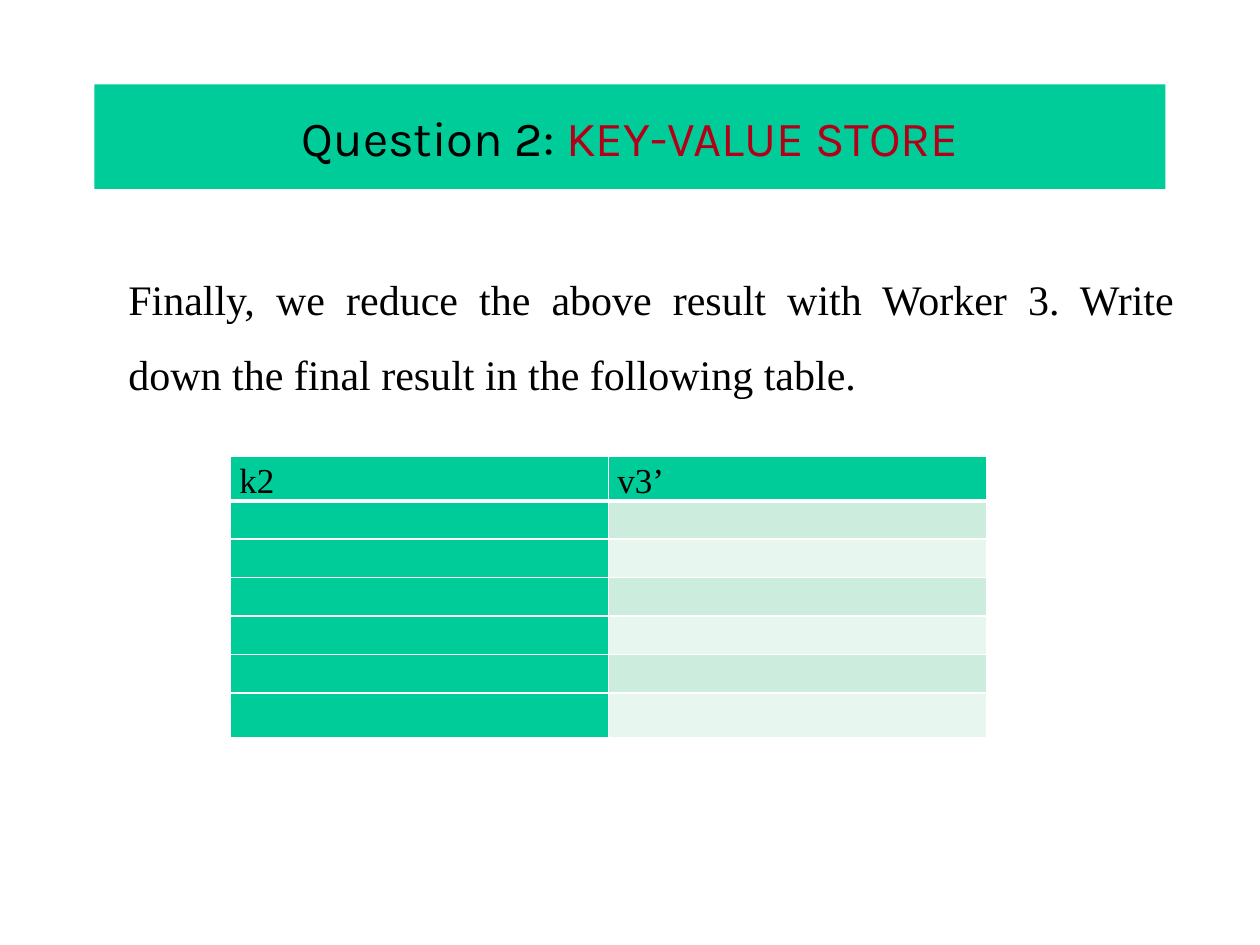
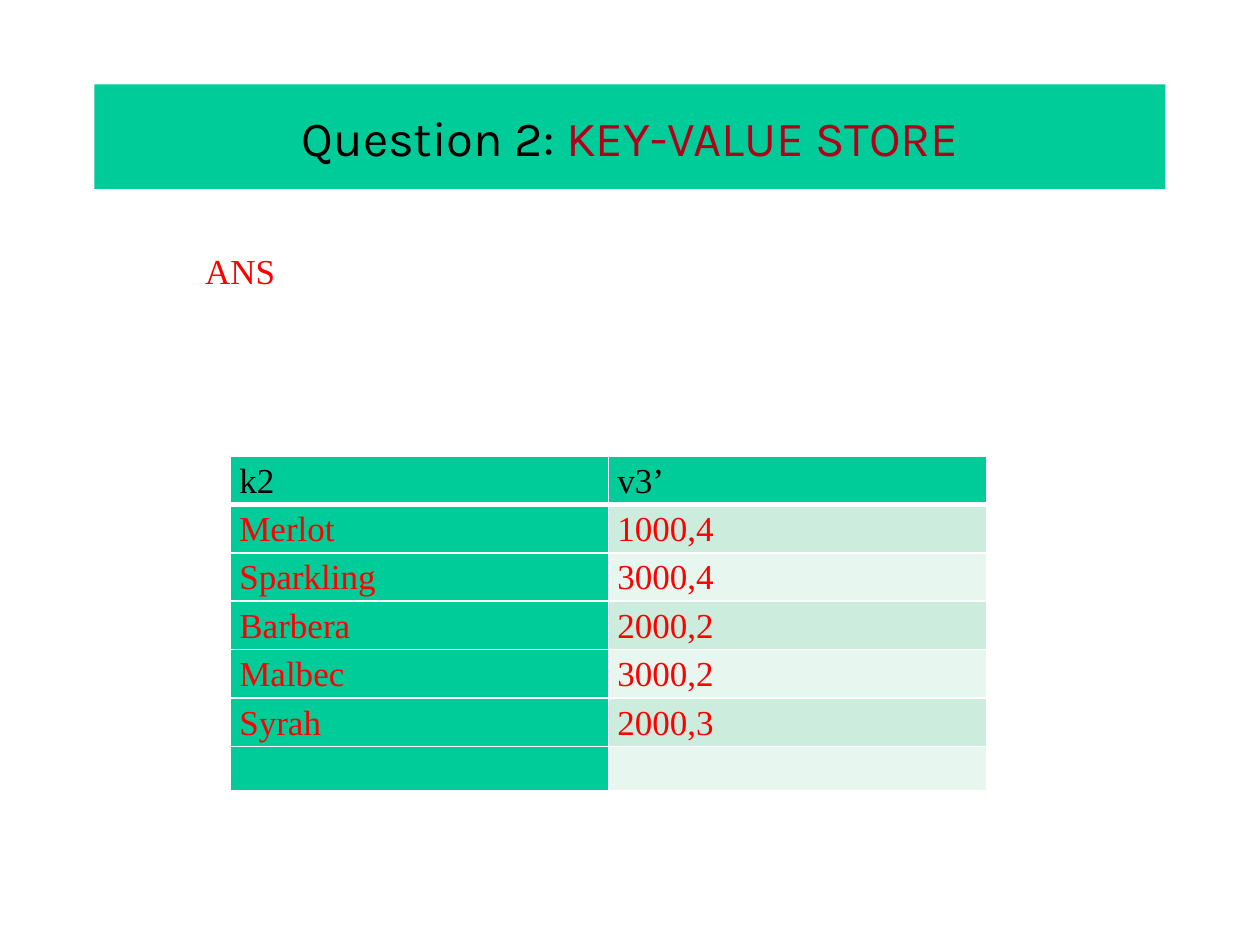
from lxml.etree import SubElement
from pptx import Presentation
from pptx.dml.color import RGBColor
from pptx.enum.shapes import MSO_SHAPE
from pptx.enum.text import MSO_ANCHOR, PP_ALIGN
from pptx.oxml import parse_xml
from pptx.oxml.ns import nsdecls, qn
from pptx.util import Inches, Pt

HUES = {"green": "00CC99", "wine": "B30019", "red": "FF0000", "black": "000000",
        "white": "FFFFFF", "mint": "CCECDE", "pale": "E7F6EF"}
SERIF = "Times New Roman"
TITLE = [("Question 2: ", "black"), ("KEY-VALUE STORE", "wine")]
HEAD = ("k2", "v3’")
EMPTY = ("", "")
WINES = [("Merlot", "1000,4"), ("Sparkling", "3000,4"), ("Barbera", "2000,2"),
         ("Malbec", "3000,2"), ("Syrah", "2000,3")]
TASK = ("Finally, we reduce the above result with Worker 3. "
        "Write down the final result in the following table.")
SLIDES = [
    {"text": TASK, "at": (0.92, 1.92, 8.5, 1.25), "size": 24, "hue": "black",
     "align": PP_ALIGN.JUSTIFY, "lead": 1.5, "wrap": True,
     "rows": [EMPTY] * 6, "high": 0.305},
    {"text": "ANS", "at": (1.53, 1.93, 0.76, 0.44), "size": 20, "hue": "red",
     "align": PP_ALIGN.LEFT, "lead": 1.0, "wrap": False,
     "rows": WINES + [EMPTY], "high": 0.355},
]
TALL = 0.355


def paint(hue):
    return RGBColor.from_string(HUES[hue])


def write(para, text, size, hue, face=SERIF):
    run = para.add_run()
    run.text = text
    run.font.size = Pt(size)
    run.font.name = face
    run.font.color.rgb = paint(hue)


def add_title(slide):
    band = slide.shapes.add_shape(MSO_SHAPE.RECTANGLE, Inches(0.75), Inches(0.67),
                                  Inches(8.5), Inches(0.83))
    band.shadow.inherit = False
    band.fill.solid()
    band.fill.fore_color.rgb = paint("green")
    band.line.fill.background()
    frame = band.text_frame
    frame.vertical_anchor = MSO_ANCHOR.MIDDLE
    para = frame.paragraphs[0]
    para.alignment = PP_ALIGN.CENTER
    for text, hue in TITLE:
        write(para, text, 28, hue, "Karla")


def add_text(slide, page):
    box = slide.shapes.add_textbox(*map(Inches, page["at"]))
    box.text_frame.word_wrap = page["wrap"]
    para = box.text_frame.paragraphs[0]
    para.alignment = page["align"]
    para.line_spacing = page["lead"]
    write(para, page["text"], page["size"], page["hue"])


def set_edges(cell, row):
    wide = {"T": 3 if row == 1 else 1, "B": 3 if row == 0 else 1}
    props = cell._tc.get_or_add_tcPr()
    for spot, side in enumerate("LRTB"):
        props.insert(spot, parse_xml(
            f'<a:ln{side} {nsdecls("a")} w="{Pt(wide.get(side, 1))}"><a:solidFill>'
            f'<a:srgbClr val="{HUES["white"]}"/></a:solidFill></a:ln{side}>'))


def fill_cell(cell, text, row, col):
    cell.margin_left = cell.margin_right = Inches(0.07)
    cell.margin_top = cell.margin_bottom = 0
    cell.fill.solid()
    tint = "green" if row == 0 or col == 0 else "mint" if row % 2 else "pale"
    cell.fill.fore_color.rgb = paint(tint)
    set_edges(cell, row)
    para = cell.text_frame.paragraphs[0]
    para.line_spacing = 1.15
    if text:
        write(para, text, 20, "red" if row else "black")
    else:
        SubElement(para._p, qn("a:endParaRPr"), sz="1200")


def add_grid(slide, page):
    rows = [HEAD] + page["rows"]
    highs = [TALL] + [page["high"]] * (len(rows) - 2) + [TALL]
    grid = slide.shapes.add_table(len(rows), len(HEAD), Inches(1.83), Inches(3.62),
                                  Inches(6), Inches(sum(highs))).table
    for row, (texts, high) in enumerate(zip(rows, highs)):
        grid.rows[row].height = Inches(high)
        for col, text in enumerate(texts):
            fill_cell(grid.cell(row, col), text, row, col)


def main():
    deck = Presentation()
    deck.slide_width, deck.slide_height = Inches(10), Inches(7.5)
    for page in SLIDES:
        slide = deck.slides.add_slide(deck.slide_layouts[6])
        add_title(slide)
        add_grid(slide, page)
        add_text(slide, page)
    deck.save("out.pptx")


if __name__ == "__main__":
    main()
